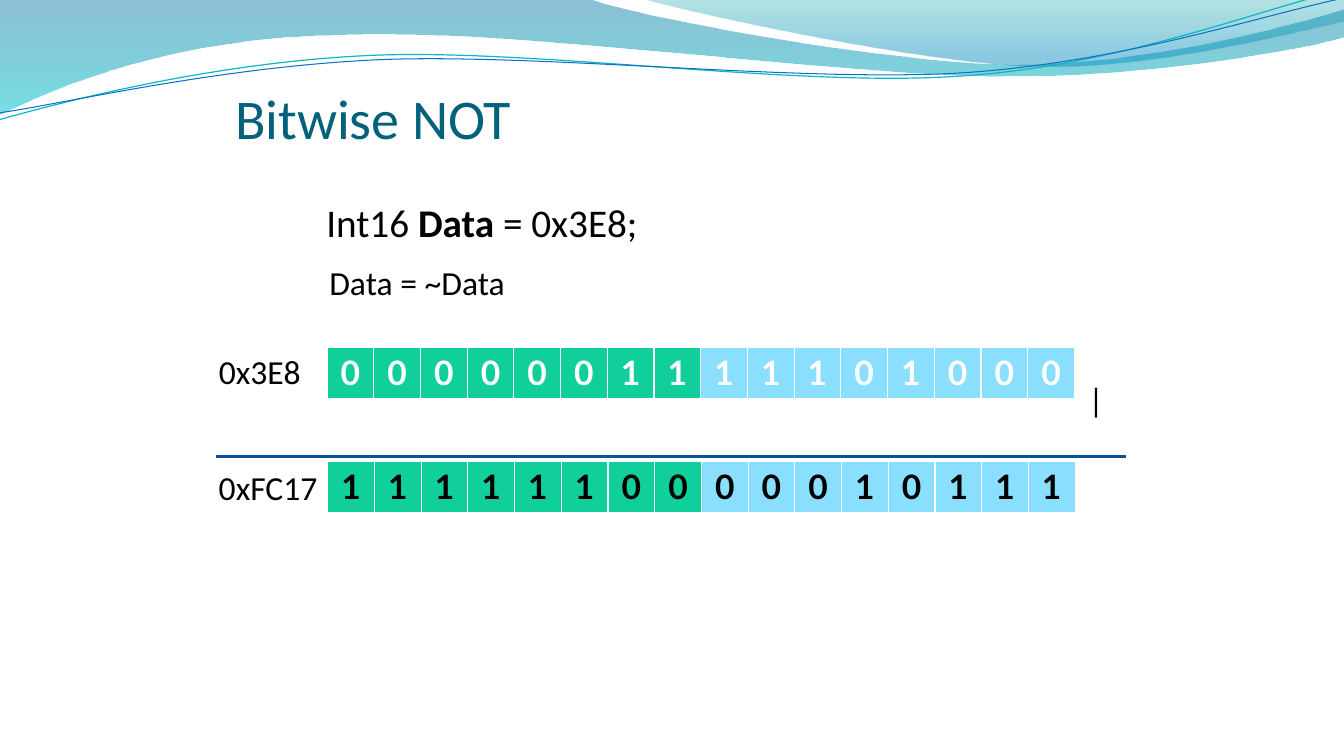
from dataclasses import dataclass
from pptx import Presentation as Deck
from pptx.dml.color import RGBColor as Rgb
from pptx.enum.shapes import MSO_CONNECTOR as Conn
from pptx.enum.text import MSO_ANCHOR as Anchor, MSO_AUTO_SIZE as Auto, PP_ALIGN as Align
from pptx.oxml import parse_xml
from pptx.oxml.ns import nsdecls, qn
from pptx.util import Pt


@dataclass(frozen=True)
class Theme:
    body: str = "Calibri"
    digit: str = "Lato"
    big: int = 40
    mid: int = 28
    text: int = 24
    title: str = "04617B"
    black: str = "000000"
    white: str = "FFFFFF"
    high: str = "10CF9B"
    low: str = "8ADFFF"
    rule: str = "095295"
    teal: str = "0AB8BF"
    blue: str = "0F6FC6"


T = Theme()
BITS = 16
CELL = (33.39, 37.44)
TILT = 357.3

# Wave outlines: a pair is a line end, six numbers are a Bezier curve
BAND = [(0, 0), (422.5, -0.5), (456.5, 12, 637, 45.5, 728, 45.5),
        (819.5, 45.5, 920, 18.5, 960, 6.5), (961, 26),
        (944, 31.5, 835, 54.5, 715.5, 54), (597, 54, 366.5, 20, 247, 24.5),
        (124, 26, 44, 60, -0.5, 81.5)]
CREST = [(460, -0.5), (489, 8, 654.5, 44.5, 738, 47),
         (821.5, 49.5, 923, 23, 960, 15), (960, 0)]
# These two are level here and get tilted on the slide
UPPER = [(-2.1, 62.9), (45, 52.1, 152.2, 29.1, 265.8, 29.5),
         (379.7, 29.8, 567.9, 66.7, 683.2, 64.1),
         (798.4, 62.6, 902.7, 25.9, 960.3, 15.7)]
LOWER = [(-1.3, 57.9), (44.4, 53.6, 157.1, 32.4, 272.2, 32.8),
         (386.6, 33.7, 572.1, 63.4, 686.8, 61.8),
         (802.5, 59.8, 904.5, 30.1, 962.1, 21.2)]


def add_path(slide, parts, close):
    """Lay out every point as a line, then join threes into curves."""
    dots = [(Pt(part[i]), Pt(part[i + 1]))
            for part in parts for i in range(0, len(part), 2)]
    pen = slide.shapes.build_freeform(*dots[0])
    pen.add_line_segments(dots[1:], close=close)
    shape = pen.convert_to_shape()
    shape.shadow.inherit = False
    lines = iter(list(shape._element.spPr.iter(qn("a:lnTo"))))
    for part in parts[1:]:
        line = next(lines)
        if len(part) == 6:
            curve = parse_xml(f'<a:cubicBezTo {nsdecls("a")}/>')
            line.addprevious(curve)
            for old in (line, next(lines), next(lines)):
                curve.append(old[0])
                old.getparent().remove(old)
    return shape


def add_wave(slide, parts, stops):
    """Fill an outline from top to bottom; a stop is place, colour, opacity."""
    shape = add_path(slide, parts, True)
    shape.line.fill.background()
    shape.fill.gradient()
    shape.fill.gradient_angle = 270
    for stop, (place, color, _) in zip(shape.fill.gradient_stops, stops):
        stop.position = place
        stop.color.rgb = Rgb.from_string(color)
    tints = shape._element.spPr.iter(qn("a:srgbClr"))
    for tint, (_, _, alpha) in zip(tints, stops):
        tint.append(parse_xml(f'<a:alpha {nsdecls("a")} val="{alpha * 1000}"/>'))


def add_curve(slide, parts, color, width):
    shape = add_path(slide, parts, False)
    shape.rotation = TILT
    shape.fill.background()
    shape.line.color.rgb = Rgb.from_string(color)
    shape.line.width = Pt(width)


def style(run, font, size, color, bold=False):
    run.font.name = font
    run.font.size = Pt(size)
    run.font.color.rgb = Rgb.from_string(color)
    run.font.bold = bold


def add_text(slide, box, *words, size=T.text, color=T.black, bold=None):
    shape = slide.shapes.add_textbox(*map(Pt, box))
    frame = shape.text_frame
    frame.word_wrap = False
    frame.auto_size = Auto.SHAPE_TO_FIT_TEXT
    for word in words:
        run = frame.paragraphs[0].add_run()
        run.text = word
        style(run, T.body, size, color, word == bold)
    return frame


def add_title(slide, text):
    frame = add_text(slide, (168, 17.8, 648, 90), text, size=T.big, color=T.title)
    frame.word_wrap = True
    frame.auto_size = Auto.NONE
    frame.vertical_anchor = Anchor.BOTTOM
    frame.margin_left = frame.margin_right = frame.margin_bottom = 0


def set_edges(cell):
    props = cell._tc.get_or_add_tcPr()
    for side, width in (("L", 1), ("R", 1), ("T", 1), ("B", 3)):
        props.append(parse_xml(
            f'<a:ln{side} {nsdecls("a")} w="{Pt(width)}"><a:solidFill>'
            f'<a:srgbClr val="{T.white}"/></a:solidFill></a:ln{side}>'))


def add_bits(slide, left, top, value, color):
    """Show a number as one row of bits, high byte first."""
    wide, tall = CELL
    table = slide.shapes.add_table(
        1, BITS, Pt(left), Pt(top), Pt(wide * BITS), Pt(tall)).table
    table.first_row = table.horz_banding = False
    for i, bit in enumerate(f"{value:0{BITS}b}"):
        table.columns[i].width = Pt(wide)
        cell = table.cell(0, i)
        set_edges(cell)
        cell.fill.solid()
        cell.fill.fore_color.rgb = Rgb.from_string(T.high if i < BITS // 2 else T.low)
        para = cell.text_frame.paragraphs[0]
        para.text = bit
        para.alignment = Align.CENTER
        style(para.runs[0], T.digit, T.text, color, True)


def add_rule(slide, left, right, y):
    rule = slide.shapes.add_connector(Conn.STRAIGHT, Pt(left), Pt(y), Pt(right), Pt(y))
    rule.line.color.rgb = Rgb.from_string(T.rule)
    rule.line.width = Pt(2.25)
    rule._element.spPr.append(parse_xml(f'<a:effectLst {nsdecls("a")}/>'))


def main():
    deck = Deck()
    deck.slide_width, deck.slide_height = Pt(960), Pt(540)
    slide = deck.slides.add_slide(deck.slide_layouts[6])

    # Wave header
    add_wave(slide, BAND, [(0, "0074A1", 45), (1, "00C6CF", 55)])
    add_wave(slide, CREST, [(0, "00A1A9", 30), (0.8, "008BBF", 45)])
    add_curve(slide, UPPER, T.teal, 0.85)
    add_curve(slide, LOWER, T.blue, 0.75)

    # Title and code
    add_title(slide, "Bitwise NOT")
    add_text(slide, (226, 138.2, 240, 41), "Int16 ", "Data", " = 0x3E8;",
             size=T.mid, bold="Data")
    add_text(slide, (228.2, 183.2, 141, 36), "Data = ~Data")

    # Value above the rule, its inverse below
    data = 0x3E8
    flip = ~data & 0xFFFF
    add_bits(slide, 233.6, 248.2, data, T.white)
    add_bits(slide, 234.1, 329.5, flip, T.black)
    add_text(slide, (149.2, 247, 73.5, 36), f"0x{data:X}")
    add_text(slide, (149.2, 329.9, 85.5, 36), f"0x{flip:X}")
    add_rule(slide, 154, 804, 326)
    add_text(slide, (770.4, 267, 26, 36), "|")

    deck.save("out.pptx")


main()
